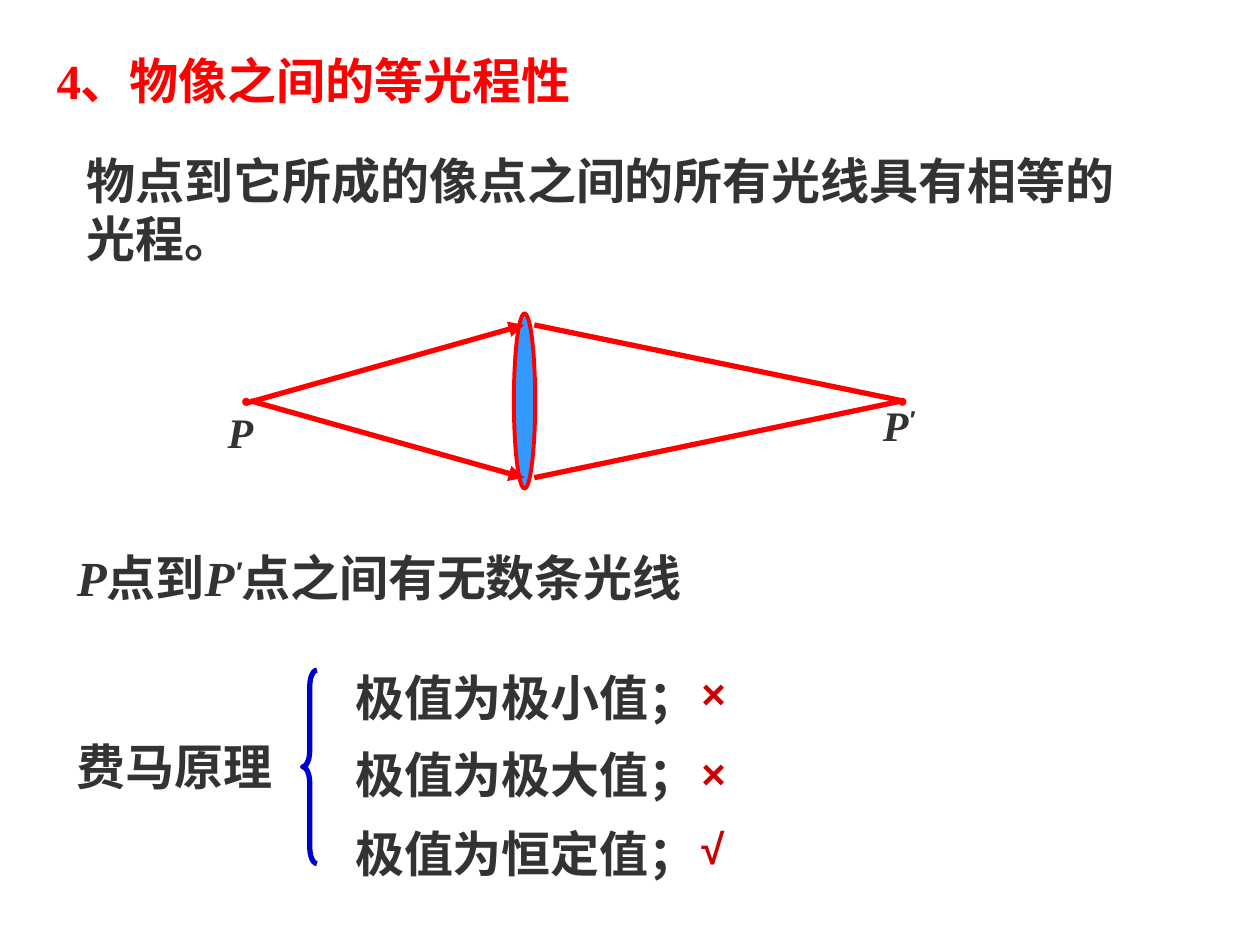
from lxml import etree
from pptx import Presentation
from pptx.dml.color import RGBColor
from pptx.enum.shapes import MSO_CONNECTOR, MSO_SHAPE
from pptx.enum.text import MSO_AUTO_SIZE, PP_ALIGN
from pptx.oxml.ns import qn
from pptx.util import Cm, Pt

STRAIGHT = MSO_CONNECTOR.STRAIGHT
ELLIPSE = MSO_SHAPE.OVAL
LEFT_BRACE = MSO_SHAPE.LEFT_BRACE
LEFT = PP_ALIGN.LEFT
CENTER = PP_ALIGN.CENTER
FIT_SHAPE = MSO_AUTO_SIZE.SHAPE_TO_FIT_TEXT

RED = "FF0000"
DARK = "333333"
MARK_RED = "CC0000"
LENS_BLUE = "3399FF"
BRACE_BLUE = "0000CC"

BODY = {"name": "Times New Roman", "size": Pt(28), "bold": True, "italic": False}
SYMBOL = BODY | {"italic": True}
PRIME = SYMBOL | {"name": "Arial"}
LABEL_SIZE = {"size": Pt(24)}
MARK = BODY | LABEL_SIZE | {"name": "Arial"}


def color(hex_string):
    return RGBColor.from_string(hex_string)


def add_text(slide, box, runs, text_color=DARK, alignment=LEFT, wrap=True):
    shape = slide.shapes.add_textbox(*map(Cm, box))
    frame = shape.text_frame
    frame.word_wrap = wrap
    frame.auto_size = FIT_SHAPE
    paragraph = frame.paragraphs[0]
    paragraph.alignment = alignment
    for text, formats in runs:
        run = paragraph.add_run()
        run.text = text
        for name, value in formats.items():
            setattr(run.font, name, value)
        run.font.color.rgb = color(text_color)
        if text == "′":
            run.font._element.set("baseline", "30000")


def add_outline(slide, kind, box, line_color, width, fill=None):
    shape = slide.shapes.add_shape(kind, *map(Cm, box))
    shape.shadow.inherit = False
    shape.line.color.rgb = color(line_color)
    shape.line.width = Pt(width)
    if fill:
        shape.fill.solid()
        shape.fill.fore_color.rgb = color(fill)
    else:
        shape.fill.background()
    return shape


def add_ray(slide, start, end, arrow=False):
    connector = slide.shapes.add_connector(STRAIGHT, *map(Cm, start + end))
    connector.line.color.rgb = color(RED)
    connector.line.width = Pt(3)
    if arrow:
        line = connector.line._get_or_add_ln()
        etree.SubElement(line, qn("a:tailEnd"), type="triangle")
    etree.SubElement(connector._element.spPr, qn("a:effectLst"))


def add_lens_diagram(slide):
    add_outline(slide, ELLIPSE, (10.36, 6.32, 0.43, 3.53), RED, 2.25, LENS_BLUE)
    image_point = (18.19, 8.08)
    for object_point, edge in (((5.05, 8.08), 9.63), ((4.95, 8.13), 6.55)):
        add_ray(slide, object_point, (10.57, edge), arrow=True)
        add_ray(slide, (10.77, edge), image_point)

    dot = [("·", BODY)]
    add_text(slide, (4.55, 7.32, 0.84, 1.45), dot, RED, wrap=False)
    add_text(slide, (17.75, 7.32, 0.89, 1.45), dot, RED, CENTER)
    object_label = ("P", SYMBOL | LABEL_SIZE)
    add_text(slide, (4.34, 8.08, 1.02, 1.27), [object_label], wrap=False)
    add_text(slide, (17.55, 7.92, 1.9, 1.27),
             [object_label, ("′", PRIME | LABEL_SIZE)])


def add_fermat_cases(slide):
    add_text(slide, (1.3, 14.73, 5.79, 1.45), [("费马原理", BODY)])
    brace = add_outline(slide, LEFT_BRACE, (6.1, 13.51, 0.29, 3.9), BRACE_BLUE, 3)
    brace.adjustments[0] = 1.13
    cases = (
        ("极值为极小值；", 13.34, "×", 13.34),
        ("极值为极大值；", 14.88, "×", 14.94),
        ("极值为恒定值；", 16.48, "√", 16.46),
    )
    for text, top, mark, mark_top in cases:
        add_text(slide, (6.91, top, 10.8, 1.45), [(text, BODY)])
        add_text(slide, (13.89, mark_top, 1.4, 1.27), [(mark, MARK)], MARK_RED)


def main():
    presentation = Presentation()
    presentation.slide_width = Cm(25.4)
    presentation.slide_height = Cm(19.05)
    slide = presentation.slides.add_slide(presentation.slide_layouts[6])

    add_text(slide, (0.89, 0.89, 17.2, 1.45), [("4、物像之间的等光程性", BODY)], RED)
    add_text(slide, (1.5, 2.9, 21.41, 2.64),
             [("物点到它所成的像点之间的所有光线具有相等的光程。", BODY)])
    add_lens_diagram(slide)
    add_text(slide, (1.3, 10.92, 13, 2.64),
             [("P", SYMBOL), ("点到", BODY), ("P", SYMBOL), ("′", PRIME),
              ("点之间有无数条光线", BODY)])
    add_fermat_cases(slide)

    presentation.save("out.pptx")


if __name__ == "__main__":
    main()
